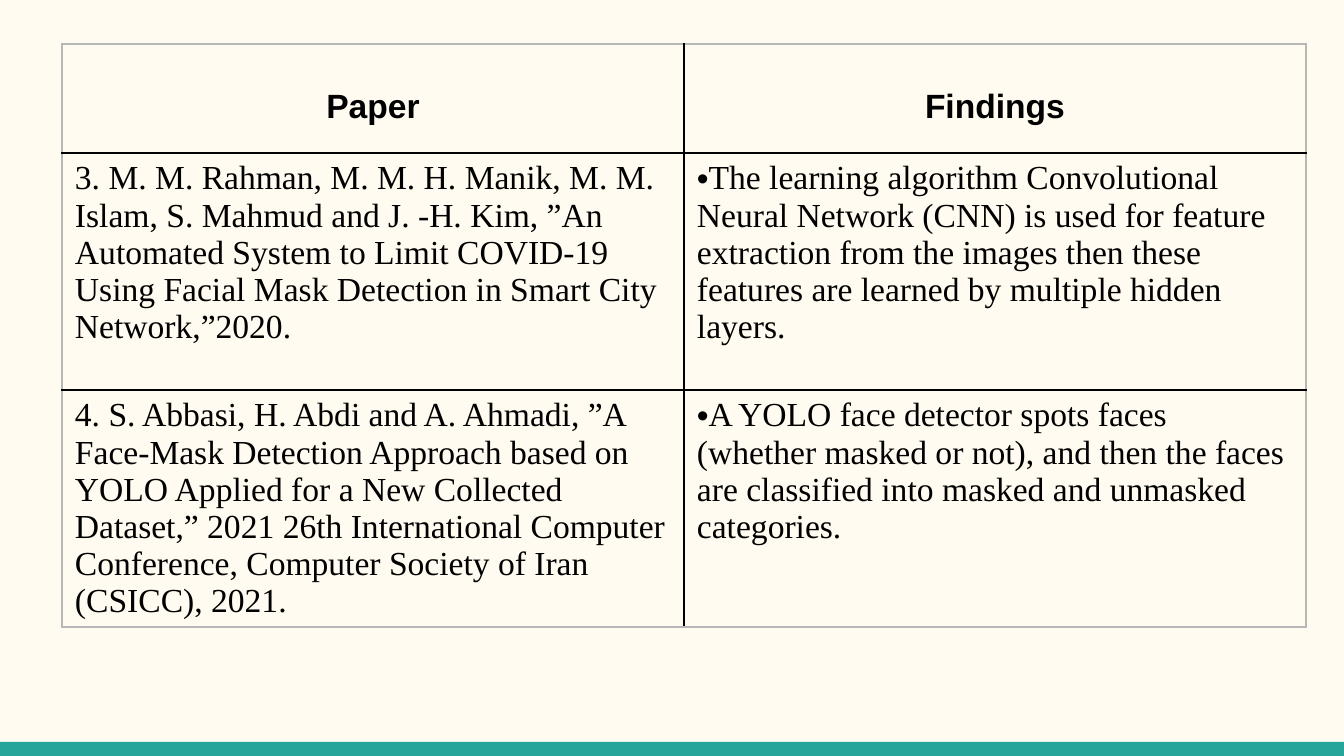
from lxml.etree import SubElement
from pptx import Presentation
from pptx.dml.color import RGBColor
from pptx.enum.shapes import MSO_SHAPE as Shape
from pptx.enum.text import PP_ALIGN as Align
from pptx.oxml.ns import qn
from pptx.util import Emu, Pt

SCALE = 914400 / 134.4
COLORS = {"page": "FFFBF0", "bar": "26A69A", "text": "000000",
          "inner": "000000", "outer": "B7B7B7"}
HEADER_FONT = {"name": "Arial", "size": Pt(18), "bold": True}
BODY_FONT = {"name": "Times New Roman", "size": Pt(18), "bold": False}
HEADER_MARGINS = {"margin_left": 13, "margin_right": 13,
                  "margin_top": 44, "margin_bottom": 7}
BODY_MARGINS = {**HEADER_MARGINS, "margin_top": 7}
COLUMN_WIDTH = 622
ROW_HEIGHTS = [109, 237, 237]
ROWS = [
    ("Paper", "Findings"),
    ("3. M. M. Rahman, M. M. H. Manik, M. M. Islam, S. Mahmud and J. -H. Kim, "
     "”An Automated System to Limit COVID-19 Using Facial Mask Detection in "
     "Smart City Network,”2020.",
     "The learning algorithm Convolutional Neural Network (CNN) is used for "
     "feature extraction from the images then these features are learned by "
     "multiple hidden layers."),
    ("4. S. Abbasi, H. Abdi and A. Ahmadi, ”A Face-Mask Detection Approach "
     "based on YOLO Applied for a New Collected Dataset,” 2021 26th "
     "International Computer Conference, Computer Society of Iran (CSICC), 2021.",
     "A YOLO face detector spots faces (whether masked or not), and then the "
     "faces are classified into masked and unmasked categories."),
]


def px(length):
    return Emu(round(length * SCALE))


def color(name):
    return RGBColor.from_string(COLORS[name])


def add_bar(page, left, top, width, height):
    bar = page.shapes.add_shape(Shape.RECTANGLE, px(left), px(top), px(width), px(height))
    bar.shadow.inherit = False
    bar.fill.solid()
    bar.fill.fore_color.rgb = color("bar")
    bar.line.fill.background()


def set_borders(cell, outer_sides):
    """Draw the four sides, with the outer colour on the table's edge."""
    props = cell._tc.get_or_add_tcPr()
    for index, side in enumerate(("lnL", "lnR", "lnT", "lnB")):
        line = SubElement(props, qn(f"a:{side}"), w=str(Pt(1)))
        fill = SubElement(line, qn("a:solidFill"))
        name = "outer" if outer_sides[index] else "inner"
        SubElement(fill, qn("a:srgbClr"), val=COLORS[name])


def add_bullet(para):
    props = para._p.get_or_add_pPr()
    props.set("marL", "0")
    props.set("indent", "0")
    SubElement(props, qn("a:buFont"), typeface="Arial")
    SubElement(props, qn("a:buChar"), char="•")


def fill_cell(cell, text, is_header, has_bullet):
    margins = HEADER_MARGINS if is_header else BODY_MARGINS
    for name, value in margins.items():
        setattr(cell, name, px(value))
    para = cell.text_frame.paragraphs[0]
    para.alignment = Align.CENTER if is_header else Align.LEFT
    if has_bullet:
        add_bullet(para)
    span = para.add_run()
    span.text = text
    for name, value in (HEADER_FONT if is_header else BODY_FONT).items():
        setattr(span.font, name, value)
    span.font.color.rgb = color("text")


def add_paper_table(page, left, top):
    row_count, column_count = len(ROWS), len(ROWS[0])
    table = page.shapes.add_table(
        row_count, column_count, px(left), px(top),
        px(COLUMN_WIDTH * column_count), px(sum(ROW_HEIGHTS))).table
    table.first_row = table.horz_banding = False
    for column in table.columns:
        column.width = px(COLUMN_WIDTH)
    for r, (height, texts) in enumerate(zip(ROW_HEIGHTS, ROWS)):
        table.rows[r].height = px(height)
        for c, text in enumerate(texts):
            cell = table.cell(r, c)
            fill_cell(cell, text, r == 0, r > 0 and c == 1)
            set_borders(cell, (c == 0, c == column_count - 1,
                               r == 0, r == row_count - 1))
            cell.fill.background()


def main():
    deck = Presentation()
    deck.slide_width, deck.slide_height = px(1344), px(756)
    page = deck.slides.add_slide(deck.slide_layouts[6])
    page.background.fill.solid()
    page.background.fill.fore_color.rgb = color("page")
    add_bar(page, 0, 742, 1344, 14)
    add_paper_table(page, 62, 44)
    deck.save("out.pptx")


if __name__ == "__main__":
    main()
